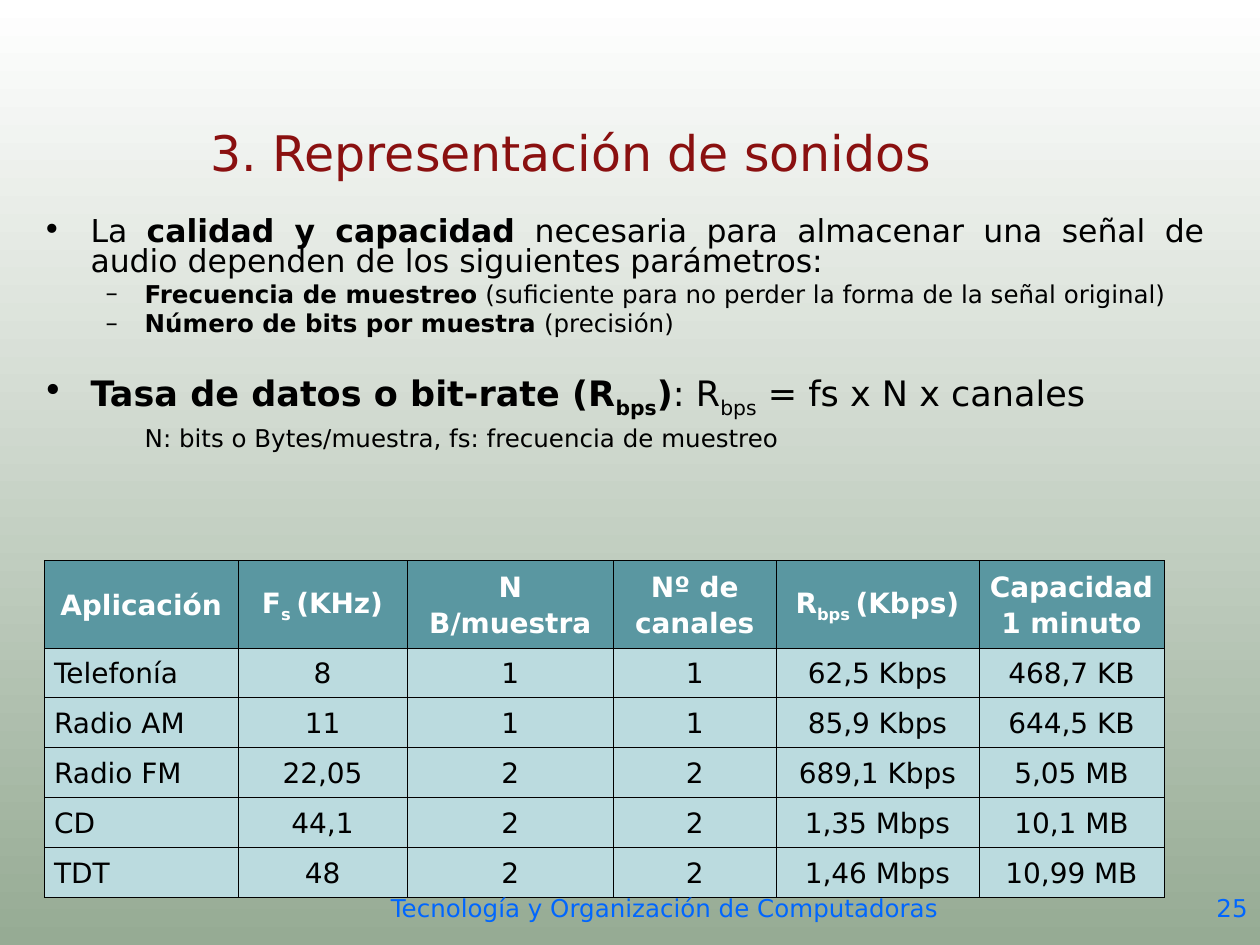
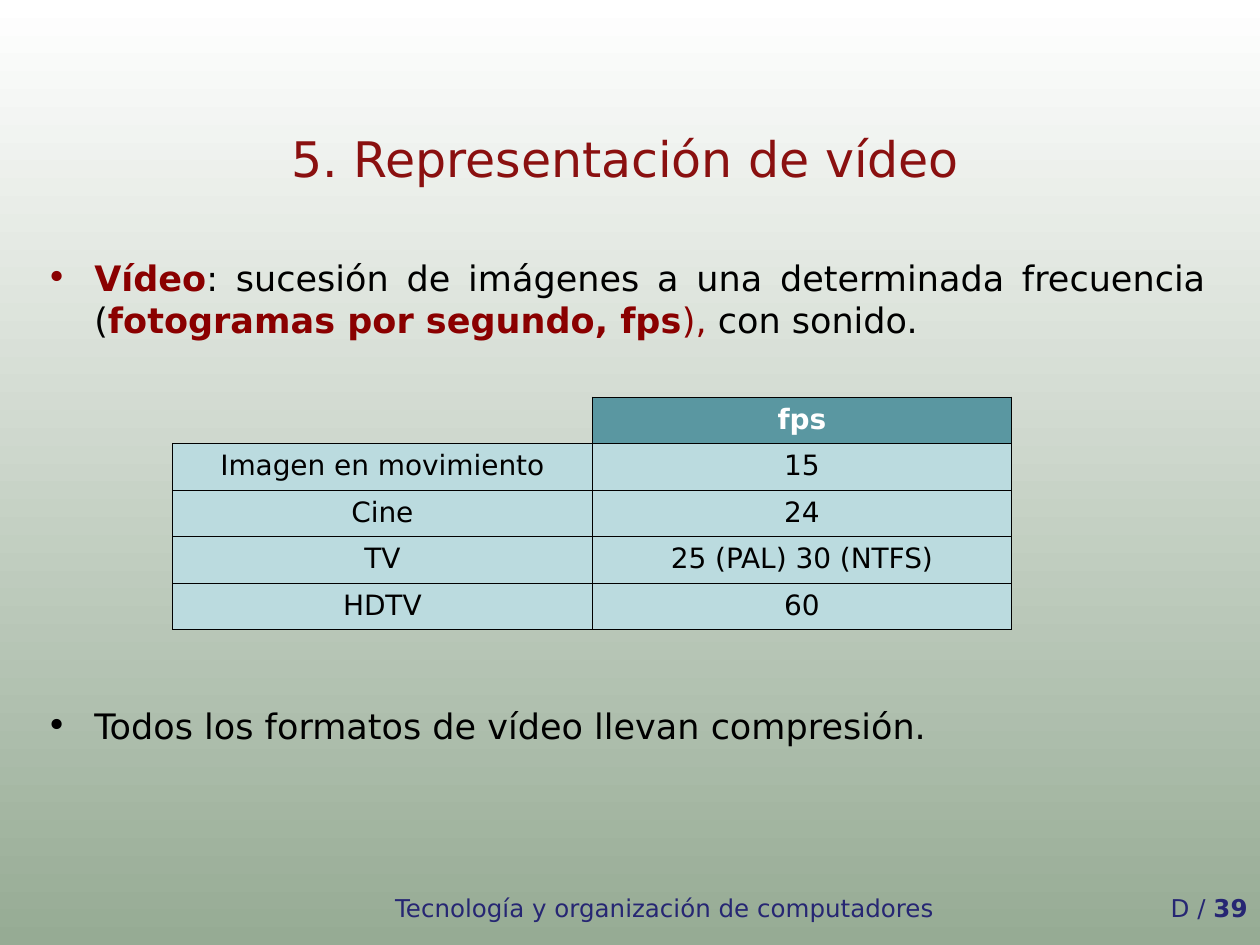
from lxml import etree
from pptx import Presentation
from pptx.dml.color import RGBColor
from pptx.enum.text import MSO_ANCHOR, PP_ALIGN
from pptx.oxml.ns import qn
from pptx.util import Inches, Pt

LEFT, MID, RIGHT, FULL = PP_ALIGN.LEFT, PP_ALIGN.CENTER, PP_ALIGN.RIGHT, PP_ALIGN.JUSTIFY
TOP, CORE = MSO_ANCHOR.TOP, MSO_ANCHOR.MIDDLE
FACE = "DejaVu Sans"
HEX = {
    "white": "FFFFFF", "black": "000000", "sage": "96AB94", "title": "8A1010",
    "red": "8A0000", "teal": "5A97A1", "pale": "BBDBDF", "blue": "0066FF", "navy": "262673",
}
TITLE_ONLY = 5
EDGES = {"L": "a:lnL", "R": "a:lnR", "T": "a:lnT", "B": "a:lnB"}

SOUND = [
    (0, "•", 18, 0, [("La ", ""), ("calidad y capacidad", "b"),
                     (" necesaria para almacenar una señal de audio dependen de los "
                      "siguientes parámetros:", "")]),
    (1, "–", 14, 3.5, [("Frecuencia de muestreo", "b"),
                       (" (suficiente para no perder la forma de la señal original)", "")]),
    (1, "–", 14, 3.5, [("Número de bits por muestra", "b"), (" (precisión)", "")]),
    (0, "•", 20, 22, [("Tasa de datos o bit-rate (R", "b"), ("bps", "bs"), (")", "b"),
                      (": R", ""), ("bps", "s"), (" = fs x N x canales", "")]),
    (1, "", 14, 8, "N: bits o Bytes/muestra, fs: frecuencia de muestreo"),
]
RATES = [
    ["Aplicación", [("F", ""), ("s ", "s"), ("(KHz)", "")], "N B/muestra", "Nº de canales",
     [("R", ""), ("bps ", "s"), ("(Kbps)", "")], "Capacidad\n1 minuto"],
    ["Telefonía", "8", "1", "1", "62,5 Kbps", "468,7 KB"],
    ["Radio AM", "11", "1", "1", "85,9 Kbps", "644,5 KB"],
    ["Radio FM", "22,05", "2", "2", "689,1 Kbps", "5,05 MB"],
    ["CD", "44,1", "2", "2", "1,35 Mbps", "10,1 MB"],
    ["TDT", "48", "2", "2", "1,46 Mbps", "10,99 MB"],
]
VIDEO = [
    (0, "•", 20, 0, [("Vídeo", "br"), (": sucesión de imágenes a una determinada frecuencia (", ""),
                     ("fotogramas por segundo, fps", "br"), ("),", "r"), (" con sonido.", "")]),
    (0, "•", 20, 207.5, "Todos los formatos de vídeo llevan compresión."),
]
FRAMES = [
    ["", "fps"],
    ["Imagen en movimiento", "15"],
    ["Cine", "24"],
    ["TV", "25 (PAL) 30 (NTFS)"],
    ["HDTV", "60"],
]


def tint(name):
    """Return the named colour."""
    return RGBColor.from_string(HEX[name])


def write(para, runs, size, ink="black", align=MID, bold=False):
    """Fill a paragraph with runs marked b (bold), s (subscript) or r (red)."""
    para.alignment = align
    font = para.font
    font.name, font.size, font.bold = FACE, Pt(size), bold
    font.color.rgb = tint(ink)
    for text, marks in [(runs, "")] if isinstance(runs, str) else runs:
        run = para.add_run()
        run.text = text
        if "b" in marks:
            run.font.bold = True
        if "r" in marks:
            run.font.color.rgb = tint("red")
        if "s" in marks:
            run.font._element.set("baseline", "-25000")


def add_box(slide, box):
    """Add a wrapping text box and return its frame."""
    frame = slide.shapes.add_textbox(*map(Inches, box)).text_frame
    frame.word_wrap = True
    return frame


def mark(para, level, sign, ink):
    """Set the hanging indent and bullet of a paragraph."""
    left, hang = [(0.38, 0.38), (0.81, 0.31)][level]
    props = para._p.get_or_add_pPr()
    props.set("marL", str(Inches(left)))
    props.set("indent", str(-Inches(hang) if sign else 0))
    if sign:
        color = etree.SubElement(props, qn("a:buClr"))
        etree.SubElement(color, qn("a:srgbClr"), val=HEX[ink])
        etree.SubElement(props, qn("a:buFont"), typeface=FACE)
        etree.SubElement(props, qn("a:buChar"), char=sign)
    else:
        etree.SubElement(props, qn("a:buNone"))


def add_list(slide, box, items, pitch=1.0):
    """Add a bulleted text block."""
    frame = add_box(slide, box)
    for i, (level, sign, size, gap, runs) in enumerate(items):
        para = frame.add_paragraph() if i else frame.paragraphs[0]
        red = not isinstance(runs, str) and "r" in runs[0][1]
        mark(para, level, sign, "red" if red else "black")
        para.line_spacing, para.space_before = pitch, Pt(gap)
        write(para, runs, size, align=FULL)


def rule(cell, sides):
    """Draw thin lines on the given sides of a cell and none on the rest."""
    props = cell._tc.get_or_add_tcPr()
    for side, tag in EDGES.items():
        line = etree.SubElement(props, qn(tag), w=str(Pt(0.45)))
        if side in sides:
            fill = etree.SubElement(line, qn("a:solidFill"))
            etree.SubElement(fill, qn("a:srgbClr"), val=HEX["black"])
        else:
            etree.SubElement(line, qn("a:noFill"))


def add_grid(slide, spot, rows, widths, heights, pad=0.1, pitch=1.0, first=MID, anchor=TOP):
    """Add a ruled table with a teal head row."""
    size = sum(widths), sum(heights)
    table = slide.shapes.add_table(len(rows), len(widths), *map(Inches, (*spot, *size))).table
    table.first_row = table.horz_banding = False
    for col, width in zip(table.columns, widths):
        col.width = Inches(width)
    for r, row in enumerate(rows):
        table.rows[r].height = Inches(heights[r])
        for c, text in enumerate(row):
            cell = table.cell(r, c)
            cell.margin_left = cell.margin_right = Inches(pad)
            rule(cell, "LRTB" if text else "RB")
            if not text:
                cell.margin_top = cell.margin_bottom = 0
                cell.fill.background()
                continue
            cell.fill.solid()
            cell.fill.fore_color.rgb = tint("pale" if r else "teal")
            cell.vertical_anchor = TOP if r else anchor
            for i, line in enumerate(text.split("\n") if isinstance(text, str) else [text]):
                frame = cell.text_frame
                para = frame.add_paragraph() if i else frame.paragraphs[0]
                para.line_spacing = pitch
                write(para, line, 16, "black" if r else "white",
                      first if r and not c else MID, not r)


def add_page(deck, title, box):
    """Add a slide and place its title."""
    slide = deck.slides.add_slide(deck.slide_layouts[TITLE_ONLY])
    head = slide.shapes.title
    head.left, head.top, head.width, head.height = map(Inches, box)
    head.text_frame.vertical_anchor = CORE
    write(head.text_frame.paragraphs[0], title, 28, "title")
    return slide


def add_foot(slide, foot, page, ink):
    """Add the footer and page number."""
    for left, width, runs, align in [(8.55, 1.45, page, RIGHT), (2.11, 6.33, foot, MID)]:
        frame = add_box(slide, (left, 7.04, width, 0.46))
        write(frame.paragraphs[0], runs, 14, ink, align)


def add_sound(deck):
    """Build the slide on sound."""
    slide = add_page(deck, "3. Representación de sonidos", (0, 0.92, 9.06, 0.57))
    add_list(slide, (0.24, 1.68, 9.42, 2.88), SOUND, 0.8)
    add_grid(slide, (0.35, 4.45), RATES, [1.54, 1.34, 1.64, 1.29, 1.61, 1.47],
             [0.61] + [0.31] * 5, 0.08, 1.11, LEFT, CORE)
    add_foot(slide, "Tecnología y Organización de Computadoras", "25", "blue")


def add_video(deck):
    """Build the slide on video."""
    slide = add_page(deck, "5. Representación de vídeo", (0.29, 0.63, 9.34, 1.24))
    add_list(slide, (0.27, 1.99, 9.4, 4.81), VIDEO)
    add_grid(slide, (1.37, 3.15), FRAMES, [3.33] * 2, [0.37] * 5)
    add_foot(slide, "Tecnología y organización de computadores",
             [("D / ", ""), ("39", "b")], "navy")


def main():
    """Build and save the deck."""
    deck = Presentation()
    deck.slide_width, deck.slide_height = Inches(10), Inches(7.5)
    fill = deck.slide_master.background.fill
    fill.gradient()
    fill.gradient_angle = 270
    for stop, name in zip(fill.gradient_stops, ["white", "sage"]):
        stop.color.rgb = tint(name)
    add_sound(deck)
    add_video(deck)
    deck.save("out.pptx")


if __name__ == "__main__":
    main()
